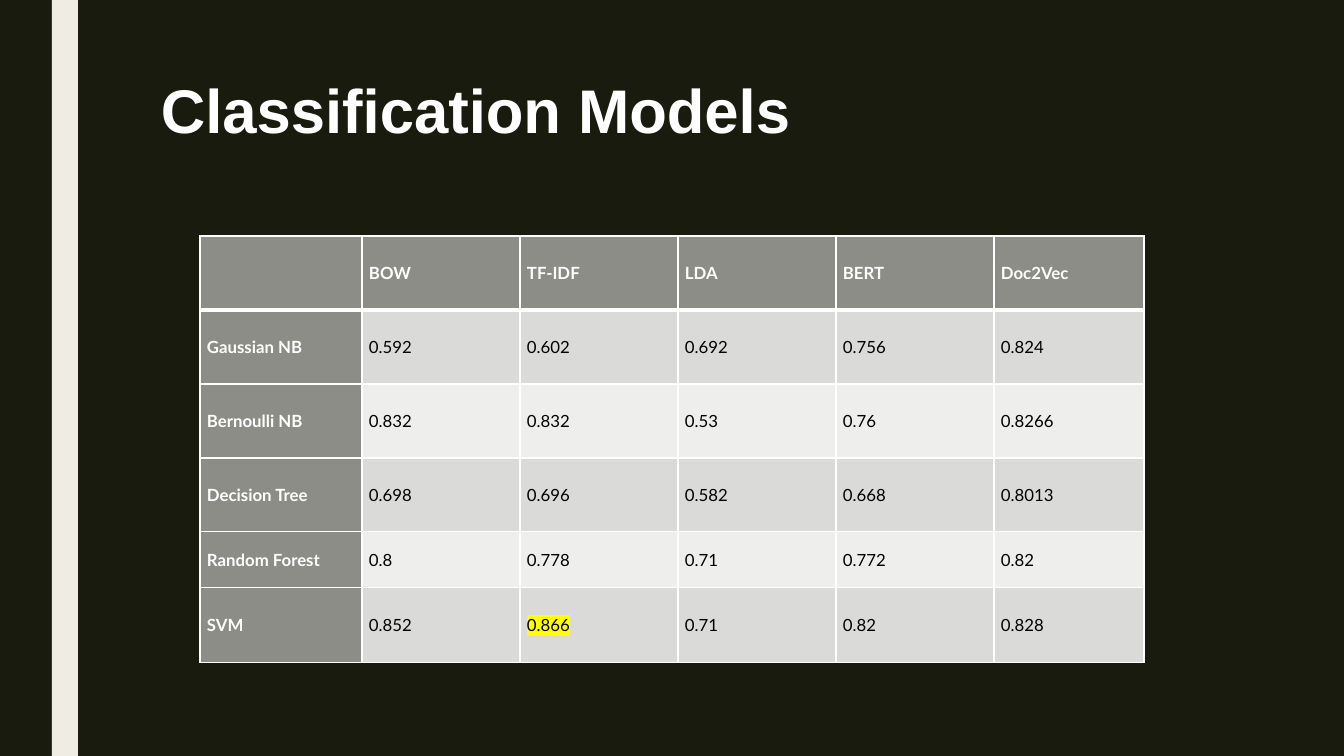
import pptx
import pptx.util
import pptx.dml.color
import pptx.enum.shapes
import pptx.enum.text
import pptx.oxml
import pptx.oxml.ns

PX = 914400 / 100.8
WHITE, BLACK = "FFFFFF", "000000"
HEADER_FILL, BAND_FILLS = "8C8D86", ("EEEEED", "DADBD9")

SCORES = [
    ["", "BOW", "TF-IDF", "LDA", "BERT", "Doc2Vec"],
    ["Gaussian NB", "0.592", "0.602", "0.692", "0.756", "0.824"],
    ["Bernoulli NB", "0.832", "0.832", "0.53", "0.76", "0.8266"],
    ["Decision Tree", "0.698", "0.696", "0.582", "0.668", "0.8013"],
    ["Random Forest", "0.8", "0.778", "0.71", "0.772", "0.82"],
    ["SVM", "0.852", "0.866", "0.71", "0.82", "0.828"],
]
BEST = (5, 2)
COL_WIDTHS = [162] + [158] * 4 + [150]
ROW_HEIGHTS = [74] * 4 + [56, 75]


def px(n):
    return pptx.util.Emu(round(n * PX))


def rgb(value):
    return pptx.dml.color.RGBColor.from_string(value)


def set_fill(target, color):
    target.fill.solid()
    target.fill.fore_color.rgb = rgb(color)


def xml(tag, body):
    return pptx.oxml.parse_xml(
        f'<a:{tag} {pptx.oxml.ns.nsdecls("a")}>{body}</a:{tag.split()[0]}>')


def write(tf, text, size, font, color=WHITE, bold=False, align=None,
          spacing=None, highlight=None):
    p = tf.paragraphs[0]
    p.alignment = align
    p.line_spacing = spacing
    r = p.add_run()
    r.text = text
    r.font.size = pptx.util.Pt(size)
    r.font.name = font
    r.font.bold = bold
    r.font.color.rgb = rgb(color)
    if highlight:
        fill = r.font._element.find(pptx.oxml.ns.qn("a:solidFill"))
        fill.addnext(xml("highlight", f'<a:srgbClr val="{highlight}"/>'))


def add_bar(s, x, y, w, h, color):
    sp = s.shapes.add_shape(pptx.enum.shapes.MSO_SHAPE.RECTANGLE,
                            px(x), px(y), px(w), px(h))
    sp.shadow.inherit = False
    set_fill(sp, color)
    sp.line.fill.background()


def add_title(s, text, x, y, w, h):
    tf = s.shapes.add_textbox(px(x), px(y), px(w), px(h)).text_frame
    tf.word_wrap = True
    write(tf, text, 44, "Arial", bold=True, spacing=0.89)


def set_borders(cell, **widths):
    """Draw white borders; widths in points override 1 for sides L, R, T, B."""
    tc_pr = cell._tc.get_or_add_tcPr()
    for i, side in enumerate("LRTB"):
        width = pptx.util.Pt(widths.get(side, 1))
        tc_pr.insert(i, xml(
            f'ln{side} w="{width}"',
            f'<a:solidFill><a:srgbClr val="{WHITE}"/></a:solidFill>'))


def add_score_table(s, x, y):
    table = s.shapes.add_table(
        len(SCORES), len(COL_WIDTHS), px(x), px(y),
        px(sum(COL_WIDTHS)), px(sum(ROW_HEIGHTS))).table
    table.first_col = True
    for col, width in zip(table.columns, COL_WIDTHS):
        col.width = px(width)
    for i, (row, height) in enumerate(zip(table.rows, ROW_HEIGHTS)):
        row.height = px(height)
        for j, cell in enumerate(row.cells):
            heading = i == 0 or j == 0
            cell.margin_left = cell.margin_right = px(7)
            cell.margin_top = cell.margin_bottom = 0
            cell.vertical_anchor = pptx.enum.text.MSO_ANCHOR.MIDDLE
            set_fill(cell, HEADER_FILL if heading else BAND_FILLS[i % 2])
            set_borders(cell, **{0: {"B": 3}, 1: {"T": 3}}.get(i, {}))
            if SCORES[i][j]:
                write(cell.text_frame, SCORES[i][j], 12, "Lato",
                      color=WHITE if heading else BLACK, bold=heading,
                      align=pptx.enum.text.PP_ALIGN.JUSTIFY,
                      highlight="FFFF00" if (i, j) == BEST else None)


def main():
    prs = pptx.Presentation()
    prs.slide_width, prs.slide_height = px(1344), px(756)
    s = prs.slides.add_slide(prs.slide_layouts[6])
    set_fill(s.background, "191B0E")
    add_bar(s, 52, 0, 26, 756, "EFEDE3")
    add_title(s, "Classification Models", 151, 76, 1058, 163)
    add_score_table(s, 200, 236)
    prs.save("out.pptx")


if __name__ == "__main__":
    main()
